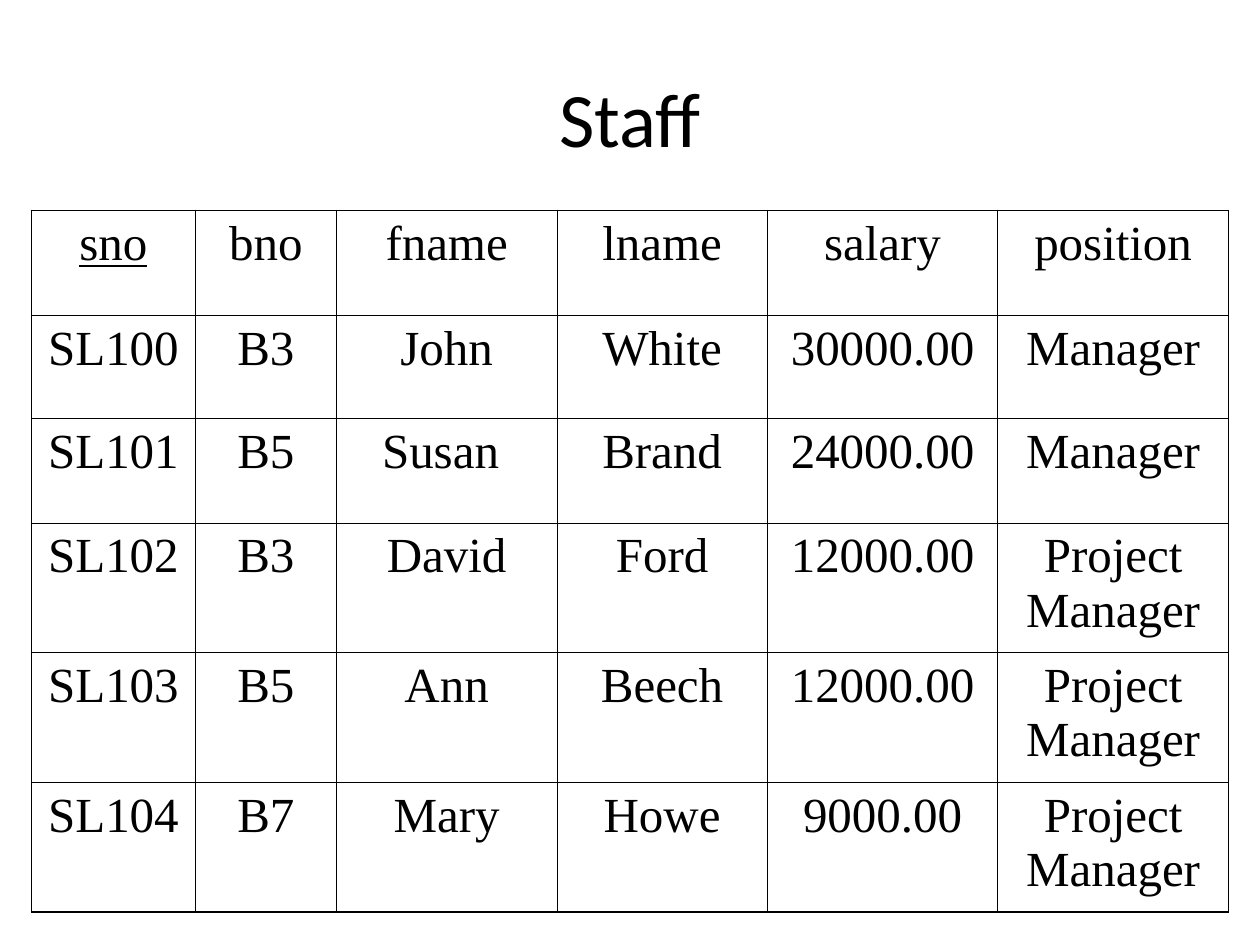
from lxml import etree
from pptx import Presentation
from pptx import util as u
from pptx.dml.color import RGBColor
from pptx.enum import text
from pptx.oxml.ns import qn

COLORS = {"ink": "000000", "paper": "FFFFFF"}
OUTER_LINE, INNER_LINE = u.Pt(1.08), u.Pt(0.45)
TITLE_FONT = {"name": "Calibri", "size": u.Pt(44)}
CELL_FONT = {"name": "Times New Roman", "size": u.Pt(28)}
CELL_FORMAT = {
    "margin_left": u.Inches(0.1),
    "margin_right": u.Inches(0.1),
    "margin_top": u.Inches(0.05),
    "margin_bottom": u.Inches(0.05),
    "vertical_anchor": text.MSO_ANCHOR.TOP,
}

COLUMN_WIDTHS = [1.3, 1.12, 1.75, 1.67, 1.83, 1.83]
ROW_HEIGHTS = [0.83, 0.82, 0.83, 1.03, 1.03, 1.03]
STAFF = [
    ["sno", "bno", "fname", "lname", "salary", "position"],
    ["SL100", "B3", "John", "White", "30000.00", "Manager"],
    ["SL101", "B5", "Susan ", "Brand", "24000.00", "Manager"],
    ["SL102", "B3", "David", "Ford", "12000.00", "Project Manager"],
    ["SL103", "B5", "Ann", "Beech", "12000.00", "Project Manager"],
    ["SL104", "B7", "Mary", "Howe", "9000.00", "Project Manager"],
]


def format_paragraph(paragraph, font_format):
    paragraph.alignment = text.PP_ALIGN.CENTER
    font = paragraph.runs[0].font
    for name, value in font_format.items():
        setattr(font, name, value)
    font.color.rgb = RGBColor.from_string(COLORS["ink"])


def add_border(cell, side, width):
    properties = cell._tc.get_or_add_tcPr()
    line = etree.SubElement(properties, qn(f"a:ln{side}"), w=str(int(width)))
    fill = etree.SubElement(line, qn("a:solidFill"))
    etree.SubElement(fill, qn("a:srgbClr"), val=COLORS["ink"])


presentation = Presentation()
presentation.slide_width = u.Inches(10)
presentation.slide_height = u.Inches(7.5)
slide = presentation.slides.add_slide(presentation.slide_layouts[5])
slide.background.fill.solid()
slide.background.fill.fore_color.rgb = RGBColor.from_string(COLORS["paper"])

# Title
title = slide.shapes.title
title.left, title.top = u.Inches(0.5), u.Inches(0.3)
title.width, title.height = u.Inches(9), u.Inches(1.25)
title.text_frame.text = "Staff"
title.text_frame.vertical_anchor = text.MSO_ANCHOR.MIDDLE
format_paragraph(title.text_frame.paragraphs[0], TITLE_FONT)

# Staff table
table = slide.shapes.add_table(
    len(STAFF), len(COLUMN_WIDTHS), u.Inches(0.25), u.Inches(1.67),
    u.Inches(sum(COLUMN_WIDTHS)), u.Inches(sum(ROW_HEIGHTS)),
).table
table.horz_banding = False
for column, width in zip(table.columns, COLUMN_WIDTHS):
    column.width = u.Inches(width)
for row, height in zip(table.rows, ROW_HEIGHTS):
    row.height = u.Inches(height)

# Cells: thick lines around the table, thin lines inside
last_row, last_column = len(STAFF) - 1, len(COLUMN_WIDTHS) - 1
for i, record in enumerate(STAFF):
    for j, value in enumerate(record):
        cell = table.cell(i, j)
        cell.text = value
        for name, setting in CELL_FORMAT.items():
            setattr(cell, name, setting)
        paragraph = cell.text_frame.paragraphs[0]
        paragraph.space_before = u.Pt(7)
        format_paragraph(paragraph, {**CELL_FONT, "bold": False})
        outer_sides = {"L": j == 0, "R": j == last_column,
                       "T": i == 0, "B": i == last_row}
        for side, is_outer in outer_sides.items():
            add_border(cell, side, OUTER_LINE if is_outer else INNER_LINE)
        cell.fill.background()

# Key column
table.cell(0, 0).text_frame.paragraphs[0].runs[0].font.underline = True

presentation.save("out.pptx")
